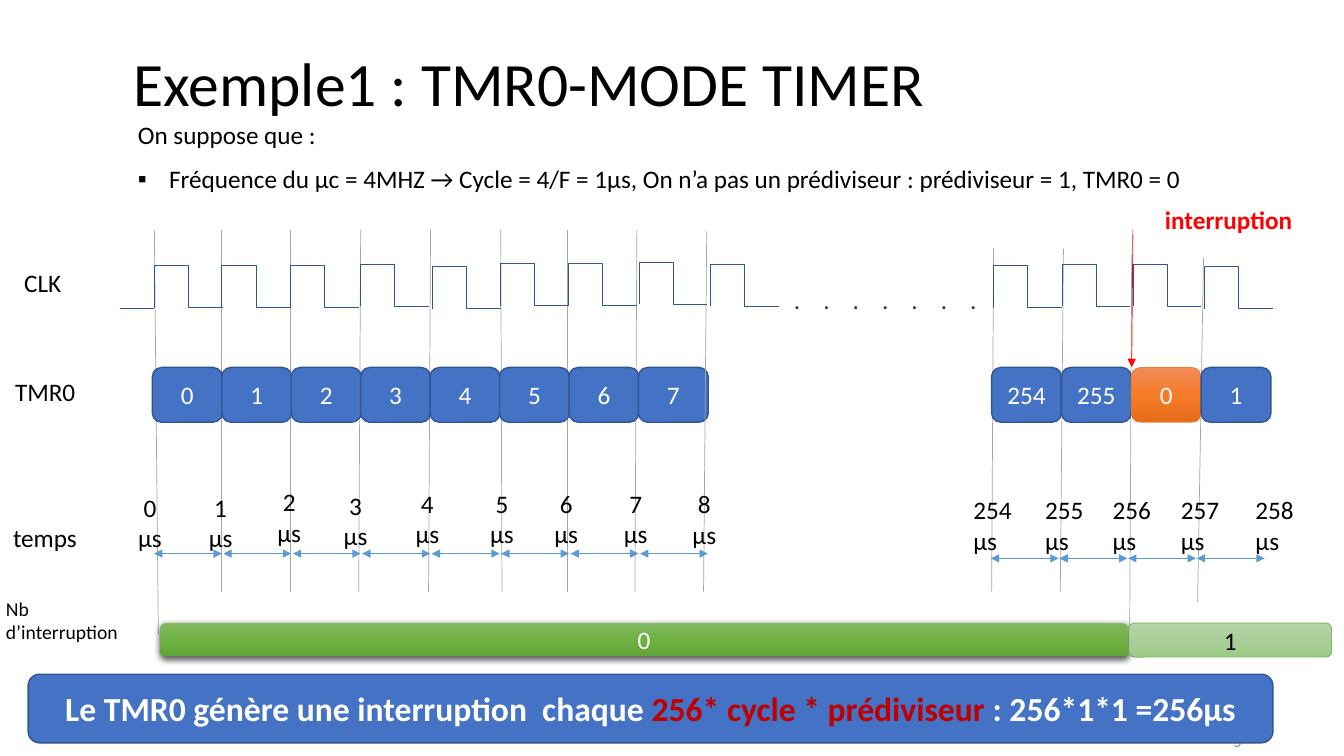
from copy import deepcopy

from lxml import etree
from pptx import Presentation
from pptx.dml.color import RGBColor
from pptx.enum import shapes, text
from pptx.oxml.ns import qn
from pptx.util import Cm, Pt

FONT = "Calibri"
COLORS = {
    "black": "000000", "white": "FFFFFF", "grey": "8C8C8C", "guide": "A5A5A5",
    "blue": "4472C4", "blue_edge": "325491", "clock": "2F5597", "dots": "203864",
    "span": "5B9BD5", "red": "FF0000", "dark_red": "C00000",
    "orange": "ED7D31", "green": "70AD47",
}
GRADIENTS = {
    "orange": ("F18C57", "F67B28", "E56C19"),
    "green": ("81B861", "6FB242", "62A336"),
    "pale_green": ("B5D5A7", "AACE9A", "9CC987"),
}
LEFT, CENTER, RIGHT = text.PP_ALIGN.LEFT, text.PP_ALIGN.CENTER, text.PP_ALIGN.RIGHT

# Each guide: top x, bottom x, top y, bottom y
LEFT_GUIDES = [(3.89, 3.99, 5.79, 15.98)] + [
    (top, bottom, 5.79, 14.91) for top, bottom in
    [(5.59, 5.59), (7.32, 7.32), (9.09, 9.04), (10.85, 10.8),
     (12.62, 12.65), (14.3, 14.3), (16.05, 16)]]
RIGHT_GUIDES = [(17.81, 17.73, 5.82, 14.91), (25.04, 24.99, 6.25, 14.91),
                (26.8, 26.72, 6.27, 14.91), (28.52, 28.47, 6.4, 15.98),
                (30.33, 30.18, 6.5, 15.16)]
# Each pulse: rising edge x, top y
PULSES = [(3.89, 6.68), (5.59, 6.68), (7.32, 6.68), (9.09, 6.65), (10.9, 6.71),
          (12.6, 6.63), (14.33, 6.63), (16.1, 6.6), (17.91, 6.65),
          (25.04, 6.68), (26.77, 6.65), (28.55, 6.65), (30.35, 6.71)]
# Each early time: centre x, top y
EARLY_TIMES = [(3.78, 12.27), (5.56, 12.27), (7.29, 12.14), (8.96, 12.22),
               (10.77, 12.17), (12.65, 12.17), (14.27, 12.17), (16.02, 12.17),
               (17.75, 12.19)]
LATE_TIMES_X = [24.28, 26.09, 27.79, 29.51, 31.39]


def rgb(name):
    return RGBColor.from_string(COLORS[name])


def add_run(p, words, size=18, color="black", bold=False):
    r = p.add_run()
    r.text = words
    r.font.name, r.font.size, r.font.bold = FONT, Pt(size), bold
    r.font.color.rgb = rgb(color)


def add_label(s, x, y, w, h, lines, align=LEFT, **style):
    tf = s.shapes.add_textbox(Cm(x), Cm(y), Cm(w), Cm(h)).text_frame
    tf.word_wrap = True
    for i, line in enumerate(lines):
        p = tf.add_paragraph() if i else tf.paragraphs[0]
        p.alignment = align
        add_run(p, line, **style)
    return tf


def add_line(s, x1, y1, x2, y2, color, heads=(), kind=shapes.MSO_CONNECTOR.STRAIGHT):
    """Draw a thin connector; heads names its arrow ends in order (headEnd, tailEnd)."""
    c = s.shapes.add_connector(kind, Cm(x1), Cm(y1), Cm(x2), Cm(y2))
    c.line.color.rgb, c.line.width = rgb(color), Pt(0.5)
    sp_pr = c._element.spPr
    for head in heads:
        etree.SubElement(sp_pr.find(qn("a:ln")), qn("a:" + head), type="triangle")
    etree.SubElement(sp_pr, qn("a:effectLst"))


def fill_gradient(sp, colors):
    sp.fill.gradient()
    sp.fill.gradient_angle = 270
    stop_list = sp._element.spPr.find(qn("a:gradFill")).find(qn("a:gsLst"))
    stop_list.insert(1, deepcopy(stop_list[0]))
    for stop, color, position in zip(sp.fill.gradient_stops, colors, (0, 0.5, 1)):
        stop.color.rgb = RGBColor.from_string(color)
        stop.position = position


def add_box(s, x, y, w, h, runs, gradient=None, edge="blue_edge", edge_width=1):
    """Add a rounded box; runs holds (words, style) pairs."""
    sp = s.shapes.add_shape(shapes.MSO_SHAPE.ROUNDED_RECTANGLE, Cm(x), Cm(y), Cm(w), Cm(h))
    sp.shadow.inherit = False
    if gradient:
        fill_gradient(sp, GRADIENTS[gradient])
    else:
        sp.fill.solid()
        sp.fill.fore_color.rgb = rgb("blue")
    if edge:
        sp.line.color.rgb, sp.line.width = rgb(edge), Pt(edge_width)
    else:
        sp.line.fill.background()
    tf = sp.text_frame
    tf.margin_left = tf.margin_right = tf.margin_top = tf.margin_bottom = 0
    tf.vertical_anchor = text.MSO_ANCHOR.MIDDLE
    p = tf.paragraphs[0]
    p.alignment = CENTER
    for words, style in runs:
        add_run(p, words, **{"color": "white", **style})
    return sp


def add_drop_shadow(sp):
    effects = sp._element.spPr.find(qn("a:effectLst"))
    shadow = etree.SubElement(effects, qn("a:outerShdw"), blurRad=str(Pt(4.5)),
                              dist=str(Pt(1.5)), dir="5400000", rotWithShape="0")
    color = etree.SubElement(shadow, qn("a:srgbClr"), val=COLORS["black"])
    etree.SubElement(color, qn("a:alpha"), val="63000")


def place(sp, x, y, w, h, anchor):
    sp.left, sp.top, sp.width, sp.height = Cm(x), Cm(y), Cm(w), Cm(h)
    tf = sp.text_frame
    tf.auto_size, tf.word_wrap = text.MSO_AUTO_SIZE.NONE, True
    tf.vertical_anchor = anchor
    return tf


def fill_placeholders(s):
    tf = place(s.shapes.title, 2.08, 0.33, 29.21, 3.68, text.MSO_ANCHOR.MIDDLE)
    tf.margin_left = Cm(1.29)
    p = tf.paragraphs[0]
    p.alignment, p.line_spacing = LEFT, 0.9
    add_run(p, "Exemple1 : TMR0-MODE TIMER", 44)

    tf = place(s.placeholders[1], 1.24, 2.87, 32.41, 2.16, text.MSO_ANCHOR.TOP)
    rows = [("On suppose que :", 1.98, 0, None, 0),
            ("Fréquence du µc = 4MHZ → Cycle = 4/F = 1µs, On n’a pas un prédiviseur : "
             "prédiviseur = 1, TMR0 = 0", 2.77, -0.79, "▪", 10)]
    for i, (words, margin, indent, bullet, before) in enumerate(rows):
        p = tf.add_paragraph() if i else tf.paragraphs[0]
        p_pr = p._p.get_or_add_pPr()
        p_pr.set("marL", str(Cm(margin)))
        p_pr.set("indent", str(Cm(indent)))
        if bullet:
            etree.SubElement(p_pr, qn("a:buFont"), typeface="Arial")
            etree.SubElement(p_pr, qn("a:buChar"), char=bullet)
        else:
            etree.SubElement(p_pr, qn("a:buNone"))
        p.space_before = Pt(before)
        add_run(p, words)


def add_guides(s, guides):
    for top_x, bottom_x, top, bottom in guides:
        add_line(s, top_x, top, bottom_x, bottom, "guide")


def add_counter(s):
    for i in range(8):
        add_box(s, 3.84 + 1.75 * i, 9.26, 1.76, 1.38, [(str(i), {})])
    add_guides(s, RIGHT_GUIDES)
    for i, count in enumerate(["254", "255", "0", "1"]):
        style = {"gradient": "orange", "edge": "orange", "edge_width": 0.5} if count == "0" else {}
        add_box(s, 24.99 + 1.76 * i, 9.26, 1.76, 1.38, [(count, {})], **style)


def add_clock(s):
    add_line(s, 3.02, 7.77, 3.89, 7.77, "clock")
    for x, top in PULSES:
        add_line(s, x, top + 1.07, x, top, "clock")
        add_line(s, x, top, x + 1.72, top + 1.07, "clock", kind=shapes.MSO_CONNECTOR.ELBOW)
    tf = add_label(s, 19.76, 7.04, 6.65, 1.02, ["\t".join("." * 7)], color="dots")
    tabs = etree.SubElement(tf.paragraphs[0]._p.get_or_add_pPr(), qn("a:tabLst"))
    for i in range(1, 7):
        etree.SubElement(tabs, qn("a:tab"), pos=str(Cm(0.74 * i)), algn="l")


def add_time_axis(s):
    for count, start, pitch, y in [(8, 3.88, 1.75, 13.95), (4, 24.97, 1.73, 14.07)]:
        for i in range(count):
            x = start + pitch * i
            add_line(s, x, y, x + 1.71, y, "span", ("headEnd", "tailEnd"))
    for i, (x, y) in enumerate(EARLY_TIMES):
        add_label(s, x - 0.78, y, 1.56, 1.8, [str(i), "µs"], CENTER)
    for i, x in enumerate(LATE_TIMES_X):
        add_label(s, x, 12.34, 1.55, 1.8, [f"{254 + i}µs"])


def main():
    prs = Presentation()
    prs.slide_width, prs.slide_height = Cm(33.87), Cm(19.05)
    s = prs.slides.add_slide(prs.slide_layouts[1])
    fill_placeholders(s)
    add_label(s, 23.93, 18.3, 7.62, 0.8, ["5"], RIGHT, size=12, color="grey")
    add_guides(s, LEFT_GUIDES)
    add_counter(s)
    add_time_axis(s)
    add_clock(s)
    for words, x, y in [("CLK", 0.36, 6.6), ("TMR0", 0.13, 9.35), ("temps", 0.08, 13.03)]:
        add_label(s, x, y, 2.29, 1.02, [words])
    add_label(s, -0.1, 14.91, 3.38, 1.45, ["Nb d’interruption"], size=14)
    add_line(s, 28.55, 5.79, 28.52, 9.25, "red", ("tailEnd",))
    add_label(s, 29.11, 5.03, 4.37, 1.02, ["interruption"], color="red", bold=True)
    strong = {"size": 24, "bold": True}
    add_box(s, 0.71, 16.99, 31.37, 1.73, [
        ("Le TMR0 génère une interruption  chaque ", strong),
        ("256* cycle * prédiviseur ", {**strong, "color": "dark_red"}),
        (": 256*1*1 =256µs", strong)])
    add_drop_shadow(add_box(s, 4.04, 15.7, 24.38, 0.84, [("0", {})], "green", None))
    add_box(s, 28.45, 15.7, 5.11, 0.86, [("1", {"color": "black"})], "pale_green", "green", 0.5)
    prs.save("out.pptx")


if __name__ == "__main__":
    main()
